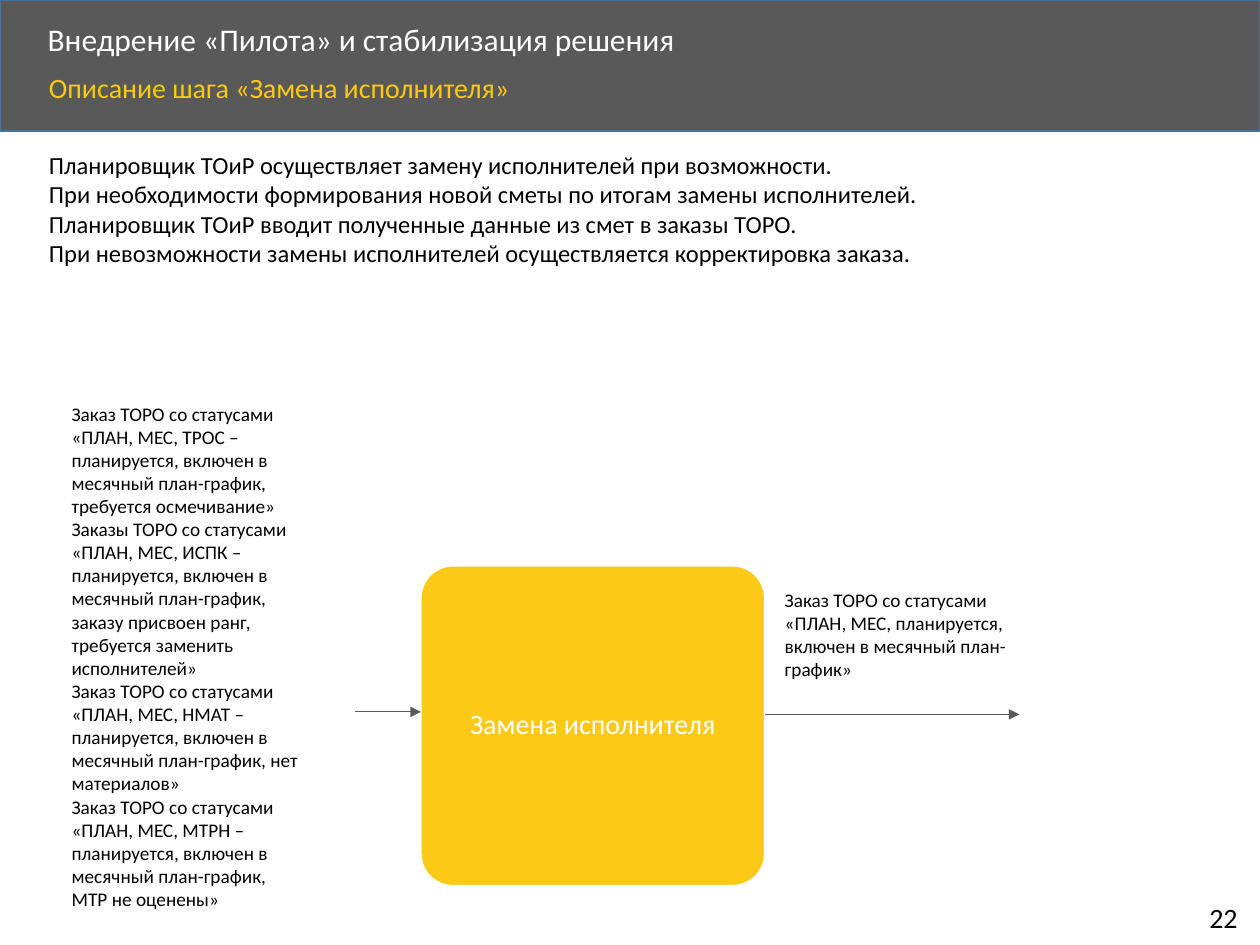
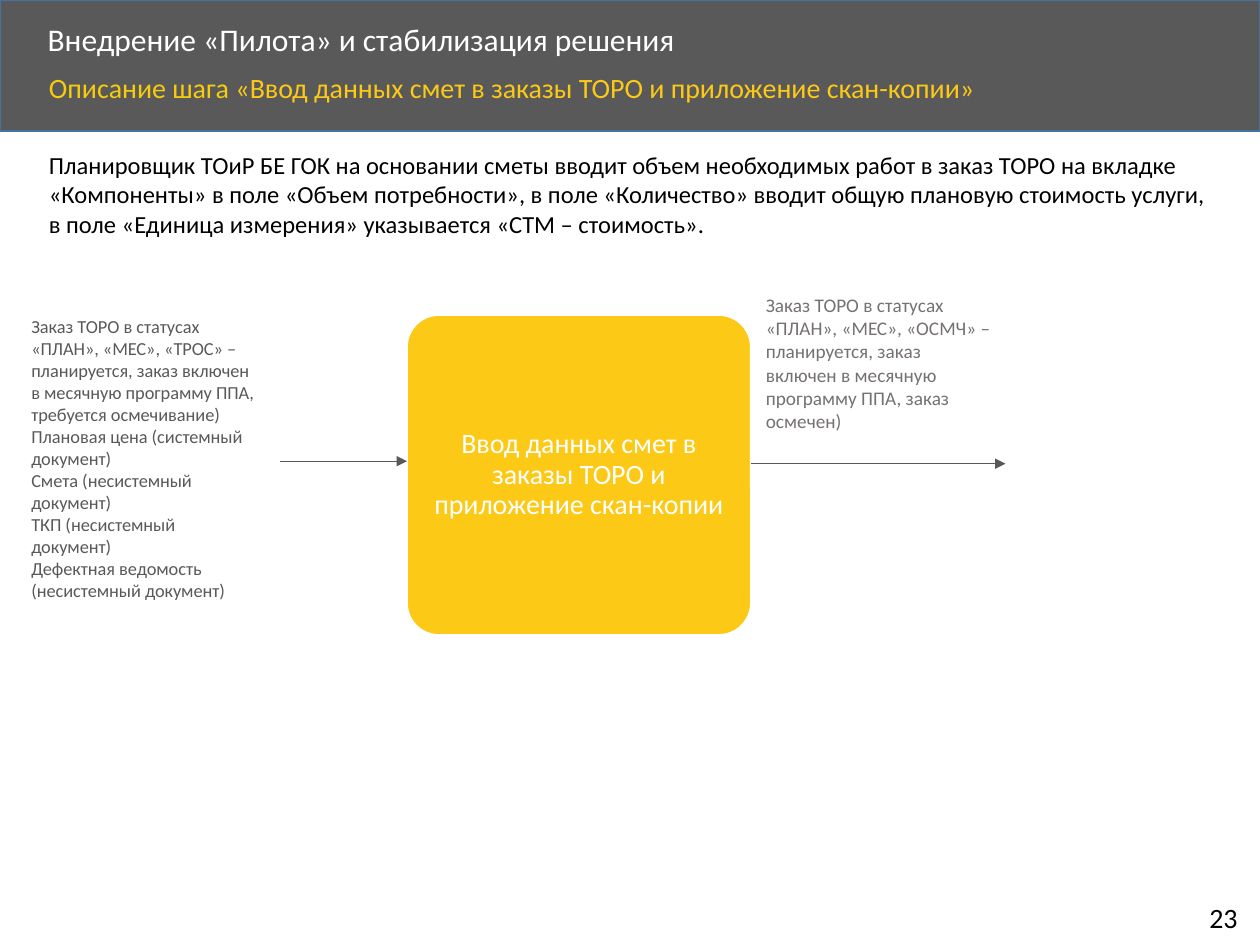
from lxml import etree
from pptx import Presentation
from pptx.dml.color import RGBColor
from pptx.enum import shapes, text
from pptx.oxml.ns import qn
from pptx.util import Inches, Pt

WHITE = RGBColor(0xFF, 0xFF, 0xFF)
BLACK = RGBColor(0x00, 0x00, 0x00)
DARK = RGBColor(0x59, 0x59, 0x59)
GREY = RGBColor(0x76, 0x71, 0x71)
BLUE = RGBColor(0x43, 0x73, 0x9E)
GOLD = RGBColor(0xFC, 0xC9, 0x17)
LEMON = RGBColor(0xF6, 0xCC, 0x0C)
FONT = "Calibri"
TITLE = "Внедрение «Пилота» и стабилизация решения"
BOX_W, BOX_H = 2.73, 2.54


def write(frame, paras, size=11, color=BLACK, align=text.PP_ALIGN.LEFT,
          anchor=text.MSO_ANCHOR.TOP, spacing=None, wrap=True, pad=None):
    """Fill a frame; a paragraph is a string or a list of (string, colour)."""
    frame.word_wrap = wrap
    frame.vertical_anchor = anchor
    if pad is not None:
        frame.margin_left = frame.margin_right = Inches(pad)
        frame.margin_top = frame.margin_bottom = Inches(pad)
    for i, item in enumerate(paras):
        para = frame.add_paragraph() if i else frame.paragraphs[0]
        para.alignment = align
        if spacing:
            para.line_spacing = spacing
        for words, tint in [(item, color)] if isinstance(item, str) else item:
            run = para.add_run()
            run.text = words
            run.font.name = FONT
            run.font.size = Pt(size)
            run.font.color.rgb = tint


class Deck:
    def __init__(self):
        self.prs = Presentation()
        self.prs.slide_width, self.prs.slide_height = Inches(10), Inches(7.5)
        self.slide = None

    def page(self, number, step):
        """Start a slide with its band, titles and page number."""
        self.slide = self.prs.slides.add_slide(self.prs.slide_layouts[6])
        self.shape(shapes.MSO_SHAPE.RECTANGLE, 0, 0, 10, 1.04, DARK, BLUE)
        self.label(0.28, 0.14, 8.07, 0.38, [TITLE], size=18, color=WHITE,
                   anchor=text.MSO_ANCHOR.MIDDLE, spacing=0.9)
        self.label(0.29, 0.54, 8.65, 0.45,
                   [[("Описание шага ", LEMON), (f"«{step}»", GOLD)]],
                   size=16, spacing=0.9)
        self.label(9.5, 7.1, 0.46, 0.37, [str(number)], size=16, wrap=False)

    def shape(self, kind, x, y, w, h, fill, line):
        item = self.slide.shapes.add_shape(
            kind, Inches(x), Inches(y), Inches(w), Inches(h))
        item.shadow.inherit = False
        item.fill.solid()
        item.fill.fore_color.rgb = fill
        item.line.color.rgb = line
        item.line.width = Pt(1)
        return item

    def label(self, x, y, w, h, paras, **style):
        box = self.slide.shapes.add_textbox(
            Inches(x), Inches(y), Inches(w), Inches(h))
        write(box.text_frame, paras, **style)

    def arrow(self, start, end, y):
        line = self.slide.shapes.add_connector(
            shapes.MSO_CONNECTOR.STRAIGHT,
            Inches(start), Inches(y), Inches(end), Inches(y))
        line.line.color.rgb = DARK
        line.line.width = Pt(0.5)
        props = line._element.spPr
        etree.SubElement(props.find(qn("a:ln")), qn("a:tailEnd"),
                         type="triangle")
        etree.SubElement(props, qn("a:effectLst"))

    def step(self, x, y, name, start, end):
        """Draw the step box with its input and output arrows."""
        box = self.shape(shapes.MSO_SHAPE.ROUNDED_RECTANGLE,
                         x, y, BOX_W, BOX_H, GOLD, WHITE)
        box.adjustments[0] = 0.1
        write(box.text_frame, [name], size=16, color=WHITE, spacing=0.9,
              align=text.PP_ALIGN.CENTER, anchor=text.MSO_ANCHOR.MIDDLE,
              pad=0.03)
        self.arrow(x + BOX_W, end, y + 1.18)
        self.arrow(start, x, y + 1.16)


def main():
    deck = Deck()

    # Replacing the contractor
    name = "Замена исполнителя"
    deck.page(22, name)
    deck.label(0.29, 1.14, 9.46, 1.04, [
        "Планировщик ТОиР осуществляет замену исполнителей при возможности.",
        "При необходимости формирования новой сметы по итогам замены исполнителей.",
        "Планировщик ТОиР вводит полученные данные из смет в заказы ТОРО.",
        "При невозможности замены исполнителей осуществляется корректировка заказа.",
    ], size=14)
    deck.step(3.34, 4.49, name, 2.82, 8.09)
    deck.label(0.47, 3.14, 2, 4.17, [
        "Заказ ТОРО со статусами «ПЛАН, МЕС, ТРОС – планируется, включен "
        "в месячный план-график, требуется осмечивание»",
        "Заказы ТОРО со статусами «ПЛАН, МЕС, ИСПК – планируется, включен "
        "в месячный план-график, заказу присвоен ранг, требуется заменить "
        "исполнителей»",
        "Заказ ТОРО со статусами «ПЛАН, МЕС, НМАТ – планируется, включен "
        "в месячный план-график, нет материалов»",
        "Заказ ТОРО со статусами «ПЛАН, МЕС, МТРН – планируется, включен "
        "в месячный план-график, МТР не оценены»",
    ])
    deck.label(6.13, 4.62, 2, 0.84, [
        "Заказ ТОРО со статусами «ПЛАН, МЕС, планируется, включен "
        "в месячный план-график»"])

    # Entering the estimate data
    name = "Ввод данных смет в заказы ТОРО и приложение скан-копии"
    deck.page(23, name)
    deck.label(0.29, 1.14, 9.46, 0.81, [
        "Планировщик ТОиР БЕ ГОК на основании сметы вводит объем необходимых "
        "работ в заказ ТОРО на вкладке «Компоненты» в поле «Объем "
        "потребности», в поле «Количество» вводит общую плановую стоимость "
        "услуги, в поле «Единица измерения» указывается «СТМ – стоимость»."
    ], size=14)
    deck.step(3.23, 2.5, name, 2.22, 7.98)
    deck.label(0.15, 2.45, 2, 2.4, [
        "Заказ ТОРО в статусах «ПЛАН», «МЕС», «ТРОС» – планируется, заказ "
        "включен в месячную программу ППА, требуется осмечивание)",
        "Плановая цена (системный документ)",
        "Смета (несистемный документ)",
        "ТКП (несистемный документ)",
        "Дефектная ведомость (несистемный документ)",
    ], size=10.5, color=DARK)
    deck.label(5.98, 2.28, 2, 1.21, [
        "Заказ ТОРО в статусах «ПЛАН», «МЕС», «ОСМЧ» – планируется, заказ "
        "включен в месячную программу ППА, заказ осмечен)"], color=GREY)

    deck.prs.save("out.pptx")


if __name__ == "__main__":
    main()
